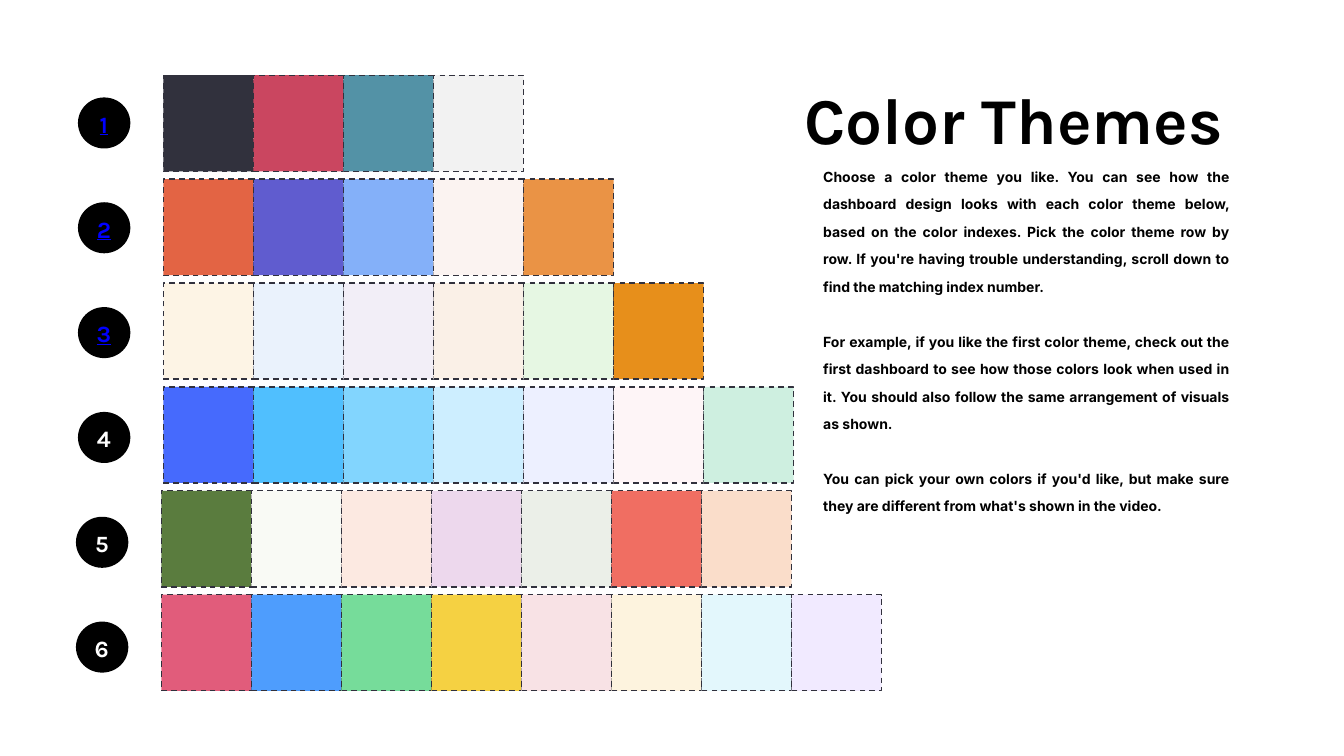
from pptx import Presentation
from pptx.dml.color import RGBColor
from pptx.enum.dml import MSO_LINE
from pptx.enum.shapes import MSO_SHAPE as SHAPE
from pptx.enum.text import MSO_ANCHOR as ANCHOR, PP_ALIGN as ALIGN
from pptx.util import Inches, Pt

INK = "31313D"
BLACK, WHITE, LINK = "000000", "FFFFFF", "0000FF"

THEMES = [
    ["31313D", "CA4660", "5392A6", "F2F2F2"],
    ["E36444", "605CCF", "84B0F9", "FBF3F1", "EA9345"],
    ["FDF4E5", "EAF2FC", "F2EEF7", "FAF0E7", "E6F7E3", "E78F1B"],
    ["466AFD", "50BFFE", "82D5FE", "CDEEFF", "EDF0FF", "FEF5F7", "CEEFE0"],
    ["5A7C3E", "F9FAF5", "FCE9E1", "EDD8ED", "EBEFE8", "F06E62", "FADDCA"],
    ["E15C7B", "4E9DFD", "76DC9A", "F5D142", "F8E2E5", "FDF3DE", "E3F7FC", "F1EAFF"],
]
LINKED_THEMES = 3   # the first themes have link-styled numbers
ALIGNED_THEMES = 4  # the later themes sit slightly further left
SHIFT = 0.03

SWATCH_LEFT, SWATCH_W, SWATCH_H = 2.43, 1.34, 1.43
FIRST_TOP, LAST_TOP = 1.12, 8.85
ROW_PITCH = (LAST_TOP - FIRST_TOP) / (len(THEMES) - 1)
BADGE_LEFT, BADGE_TOP, BADGE_PITCH = 1.16, 1.45, 1.56

GUIDE = [
    "Choose a color theme you like. You can see how the dashboard design looks "
    "with each color theme below, based on the color indexes. Pick the color theme "
    "row by row. If you're having trouble understanding, scroll down to find the "
    "matching index number.",
    "For example, if you like the first color theme, check out the first dashboard "
    "to see how those colors look when used in it. You should also follow the same "
    "arrangement of visuals as shown.",
    "You can pick your own colors if you'd like, but make sure they are different "
    "from what's shown in the video.",
]


def rgb(color):
    return RGBColor.from_string(color)


def add_filled(slide, kind, left, top, width, height, color):
    s = slide.shapes.add_shape(
        kind, Inches(left), Inches(top), Inches(width), Inches(height))
    s.shadow.inherit = False
    s.fill.solid()
    s.fill.fore_color.rgb = rgb(color)
    s.line.fill.background()
    return s


def add_swatch(slide, left, top, color):
    s = add_filled(slide, SHAPE.RECTANGLE, left, top, SWATCH_W, SWATCH_H, color)
    s.line.color.rgb = rgb(INK)
    s.line.width = Pt(1.5)
    s.line.dash_style = MSO_LINE.DASH


def add_text(slide, left, top, width, height, paragraphs, font, size, leading,
             align=ALIGN.CENTER, color=BLACK, underline=None, gap=0,
             inset=0, anchor=ANCHOR.TOP):
    """Add a bold text box; leading and gap are in points."""
    box = slide.shapes.add_textbox(
        Inches(left), Inches(top), Inches(width), Inches(height))
    tf = box.text_frame
    tf.word_wrap = True
    tf.vertical_anchor = anchor
    tf.margin_left = tf.margin_right = Inches(inset)
    tf.margin_top = tf.margin_bottom = Inches(inset)
    tf.text = "\n".join(paragraphs)
    for p in tf.paragraphs:
        p.alignment = align
        p.line_spacing = Pt(leading)
        p.space_after = Pt(gap)
        p.font.name = font
        p.font.size = Pt(size)
        p.font.bold = True
        p.font.underline = underline
        p.font.color.rgb = rgb(color)


def add_badge(slide, left, top, number):
    linked = number <= LINKED_THEMES
    add_filled(slide, SHAPE.OVAL, left, top, 0.78, 0.76, BLACK)
    add_text(slide, left + 0.07, top + 0.03, 0.63, 0.66, [str(number)],
             "Karla", 25, 35, color=LINK if linked else WHITE,
             underline=linked or None, inset=0.06, anchor=ANCHOR.MIDDLE)


def add_theme(slide, row, colors):
    shift = 0 if row < ALIGNED_THEMES else SHIFT
    for col, color in enumerate(colors):
        add_swatch(slide, SWATCH_LEFT - shift + col * SWATCH_W,
                   FIRST_TOP + row * ROW_PITCH, color)
    add_badge(slide, BADGE_LEFT - shift, BADGE_TOP + row * BADGE_PITCH, row + 1)


def main():
    prs = Presentation()
    prs.slide_width, prs.slide_height = Inches(20), Inches(11.25)
    slide = prs.slides.add_slide(prs.slide_layouts[6])
    for row, colors in enumerate(THEMES):
        add_theme(slide, row, colors)
    add_text(slide, 11.3, 0.98, 7.57, 1.31, ["Color Themes"], "Karla", 70, 98)
    add_text(slide, 12.25, 2.35, 6.05, 5.25, GUIDE, "Inter", 15, 29.4,
             align=ALIGN.JUSTIFY, gap=29.4)
    prs.save("out.pptx")


if __name__ == "__main__":
    main()
